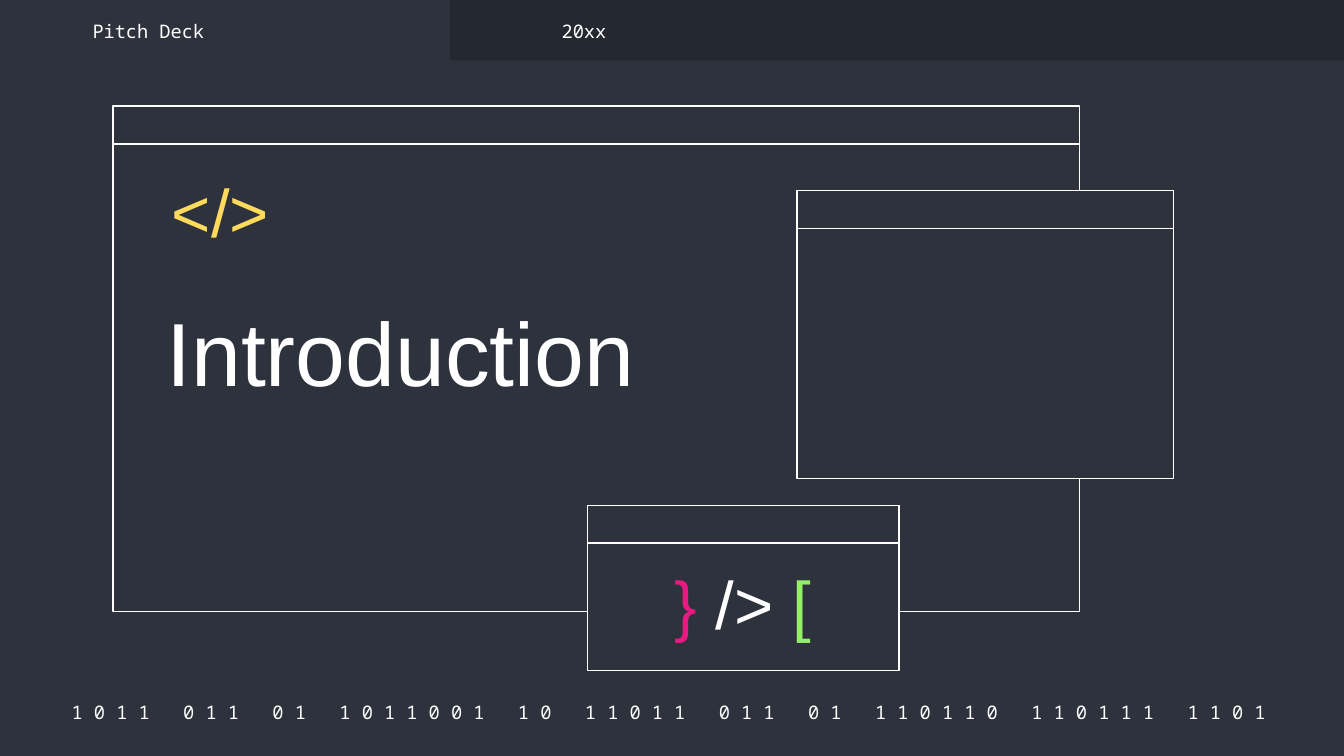
import pptx
import pptx.dml.color
import pptx.enum.shapes
import pptx.enum.text
import pptx.util

Pt = pptx.util.Pt
ALIGN = pptx.enum.text.PP_ALIGN
ANCHOR = pptx.enum.text.MSO_ANCHOR

BACKGROUND, BAND, WHITE = "2D323C", "242830", "FFFFFF"
YELLOW, PINK, GREEN = "FFDB5D", "E81981", "94EE6B"
WIDTH, HEIGHT = 720, 405
TITLE_BAR = 20.2

BAND_AREA = (241.2, 0, 478.8, 32.4)
WINDOWS = [
    (60.5, 56.9, 517.7, 270.7),
    (314.6, 270.7, 167, 88.6),
    (427, 102.2, 201.6, 154.1),
]
BINARY = ["1011", "011", "01", "1011001", "10", "11011",
          "011", "01", "110110", "110111", "1101"]
BINARY_LINE = "   ".join(" ".join(group) for group in BINARY) + " "

SMALL = {"size": 10, "font": "Noto Sans Mono", "anchor": ANCHOR.MIDDLE}
SYMBOL = {"size": 36, "font": "Arial", "spacing": 0.9, "top": 10}
HEADING = {"size": 48, "font": "Arial", "top": 12.2}

# area, (text, colour) spans, format
TEXTS = [
    ((27.4, 374.4, 667.4, 14.4), [(BINARY_LINE, WHITE)], {**SMALL, "align": ALIGN.CENTER}),
    ((82.1, 146.9, 310.3, 64.8), [("Introduction", WHITE)], HEADING),
    ((66.2, 86.4, 85, 44.6), [("</>", YELLOW)], {**SYMBOL, "align": ALIGN.RIGHT}),
    ((42.5, 9.4, 157.7, 14.4), [("Pitch Deck", WHITE)], SMALL),
    ((293.8, 9.4, 157.7, 14.4), [("20xx", WHITE)], SMALL),
    ((349.9, 295.9, 95.8, 59), [("}", PINK), (" /> ", WHITE), ("[", GREEN)],
     {**SYMBOL, "align": ALIGN.CENTER}),
]


def color(value):
    return pptx.dml.color.RGBColor.from_string(value)


def add_rectangle(page, area, fill, line=None):
    shape = page.shapes.add_shape(
        pptx.enum.shapes.MSO_SHAPE.RECTANGLE, *map(Pt, area))
    shape.shadow.inherit = False
    shape.fill.solid()
    shape.fill.fore_color.rgb = color(fill)
    if line:
        shape.line.color.rgb = color(line)
        shape.line.width = Pt(0.75)
    else:
        shape.line.fill.background()


def add_window(page, area):
    """Draw a window frame with a title bar across its top."""
    left, top, width, _ = area
    for part in (area, (left, top, width, TITLE_BAR)):
        add_rectangle(page, part, BACKGROUND, WHITE)


def add_text(page, area, spans, style):
    frame = page.shapes.add_textbox(*map(Pt, area)).text_frame
    frame_format = {
        "word_wrap": True,
        "vertical_anchor": style.get("anchor", ANCHOR.TOP),
        "margin_left": Pt(7.2),
        "margin_right": Pt(7.2),
        "margin_top": Pt(style.get("top", 7.2)),
        "margin_bottom": Pt(7.2),
    }
    for name, value in frame_format.items():
        setattr(frame, name, value)
    para = frame.paragraphs[0]
    para.alignment = style.get("align", ALIGN.LEFT)
    para.line_spacing = style.get("spacing", 1.0)
    for text, fill in spans:
        span = para.add_run()
        span.text = text
        span.font.name = style["font"]
        span.font.size = Pt(style["size"])
        span.font.color.rgb = color(fill)


def main():
    deck = pptx.Presentation()
    deck.slide_width, deck.slide_height = Pt(WIDTH), Pt(HEIGHT)
    page = deck.slides.add_slide(deck.slide_layouts[6])
    page.background.fill.solid()
    page.background.fill.fore_color.rgb = color(BACKGROUND)

    add_rectangle(page, BAND_AREA, BAND)
    for area in WINDOWS:
        add_window(page, area)
    for area, spans, style in TEXTS:
        add_text(page, area, spans, style)
    deck.save("out.pptx")


if __name__ == "__main__":
    main()
